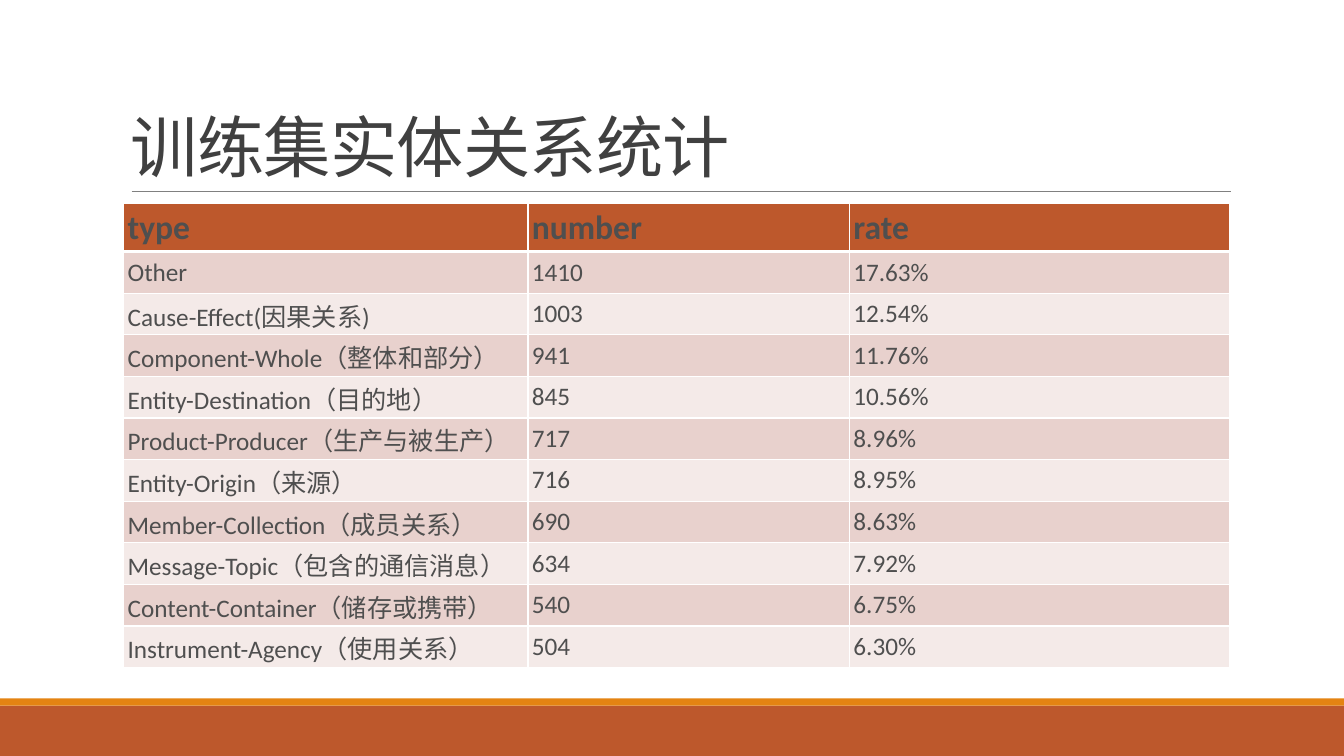
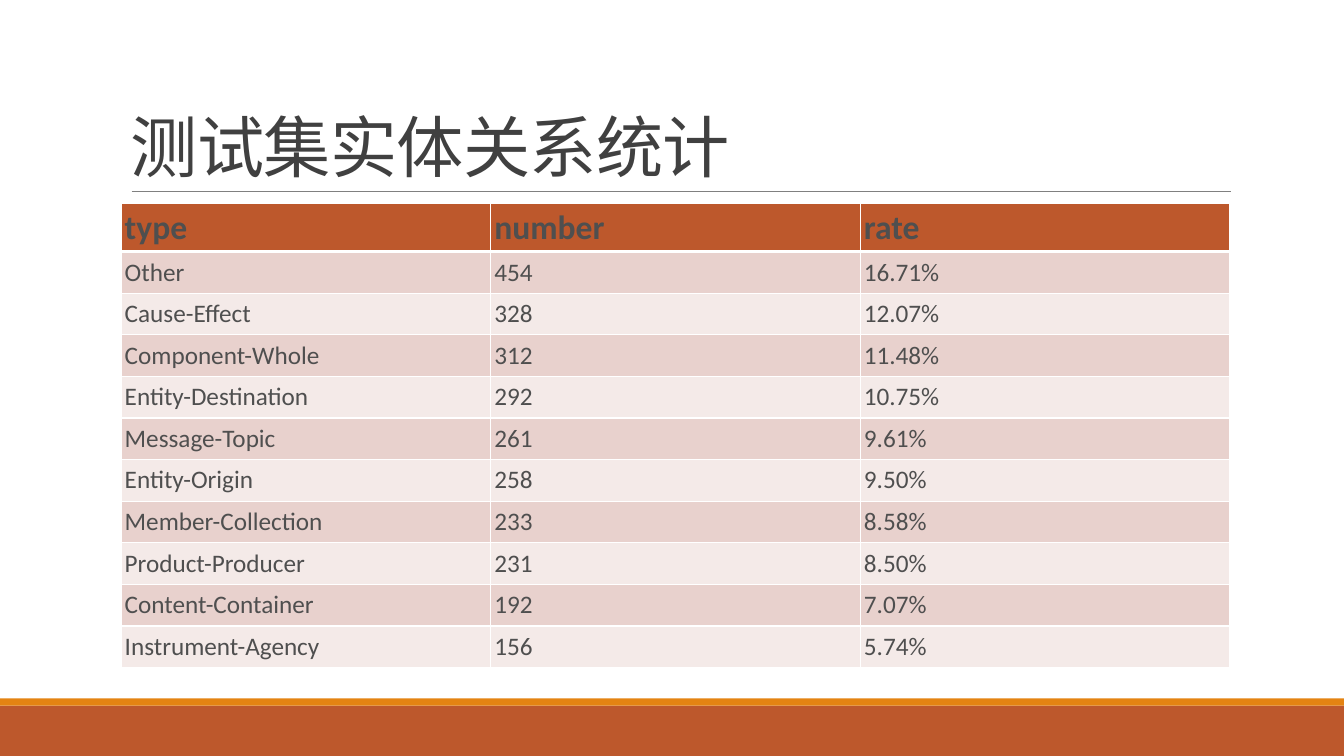
from dataclasses import dataclass

from lxml.etree import SubElement
from pptx import Presentation
from pptx.dml.color import RGBColor
from pptx.enum.shapes import MSO_CONNECTOR, MSO_SHAPE
from pptx.enum.text import MSO_ANCHOR
from pptx.oxml.ns import qn
from pptx.util import Pt


@dataclass(frozen=True)
class Theme:
    font: str = "Calibri"
    rust: str = "BD582C"
    amber: str = "E48312"
    rule: str = "808080"
    title: str = "404040"
    text: str = "4F4F4F"
    edge: str = "FFFFFF"
    bands: tuple = ("E8D1CD", "F4EAE8")
    title_size: int = 48
    head_size: int = 24
    body_size: int = 18


THEME = Theme()
WIDTH, HEIGHT = 960, 540
HEAD = ("type", "number", "rate")

TRAIN = [
    ("Other", "1410", "17.63%"),
    ("Cause-Effect(因果关系)", "1003", "12.54%"),
    ("Component-Whole（整体和部分）", "941", "11.76%"),
    ("Entity-Destination（目的地）", "845", "10.56%"),
    ("Product-Producer（生产与被生产）", "717", "8.96%"),
    ("Entity-Origin（来源）", "716", "8.95%"),
    ("Member-Collection（成员关系）", "690", "8.63%"),
    ("Message-Topic（包含的通信消息）", "634", "7.92%"),
    ("Content-Container（储存或携带）", "540", "6.75%"),
    ("Instrument-Agency（使用关系）", "504", "6.30%"),
]

TEST = [
    ("Other", "454", "16.71%"),
    ("Cause-Effect", "328", "12.07%"),
    ("Component-Whole", "312", "11.48%"),
    ("Entity-Destination", "292", "10.75%"),
    ("Message-Topic", "261", "9.61%"),
    ("Entity-Origin", "258", "9.50%"),
    ("Member-Collection", "233", "8.58%"),
    ("Product-Producer", "231", "8.50%"),
    ("Content-Container", "192", "7.07%"),
    ("Instrument-Agency", "156", "5.74%"),
]


def rgb(code):
    return RGBColor.from_string(code)


def set_font(para, size, color, bold=False):
    font = para.font
    font.name = THEME.font
    font.size = Pt(size)
    font.bold = bold
    font.color.rgb = rgb(color)


def add_band(slide, top, height, color):
    band = slide.shapes.add_shape(
        MSO_SHAPE.RECTANGLE, 0, Pt(top), Pt(WIDTH), Pt(height))
    band.shadow.inherit = False
    band.fill.solid()
    band.fill.fore_color.rgb = rgb(color)
    band.line.fill.background()


def add_rule(slide, left, right, top):
    rule = slide.shapes.add_connector(
        MSO_CONNECTOR.STRAIGHT, Pt(left), Pt(top), Pt(right), Pt(top))
    rule.line.color.rgb = rgb(THEME.rule)
    rule.line.width = Pt(0.5)
    SubElement(rule._element.spPr, qn("a:effectLst"))


def add_title(slide, text):
    box = slide.shapes.add_textbox(Pt(86.4), Pt(22.6), Pt(792), Pt(114.2))
    frame = box.text_frame
    frame.word_wrap = True
    frame.vertical_anchor = MSO_ANCHOR.BOTTOM
    para = frame.paragraphs[0]
    para.line_spacing = 0.85
    run = para.add_run()
    run.text = text
    run._r.get_or_add_rPr().set("spc", "-50")
    set_font(para, THEME.title_size, THEME.title)


def set_edges(cell, top, bottom):
    """Draw the four cell borders; top and bottom are widths in points."""
    props = cell._tc.get_or_add_tcPr()
    for side, width in (("L", 1), ("R", 1), ("T", top), ("B", bottom)):
        line = SubElement(props, qn(f"a:ln{side}"), w=str(int(Pt(width))))
        fill = SubElement(line, qn("a:solidFill"))
        SubElement(fill, qn("a:srgbClr"), val=THEME.edge)


def fill_cell(cell, text, row):
    head = row == 0
    set_edges(cell, 3 if row == 1 else 1, 3 if head else 1)
    cell.fill.solid()
    cell.fill.fore_color.rgb = rgb(
        THEME.rust if head else THEME.bands[(row - 1) % 2])
    cell.vertical_anchor = MSO_ANCHOR.MIDDLE
    cell.margin_left = cell.margin_right = Pt(2.7)
    cell.margin_top = cell.margin_bottom = Pt(2.7)
    cell.text = text
    size = THEME.head_size if head else THEME.body_size
    set_font(cell.text_frame.paragraphs[0], size, THEME.text, head)


def add_stats(slide, left, widths, data):
    rows = [HEAD, *data]
    table = slide.shapes.add_table(
        len(rows), len(widths), Pt(left), Pt(145.5),
        Pt(sum(widths)), Pt(327)).table
    for col, width in zip(table.columns, widths):
        col.width = Pt(width)
    for i, row in enumerate(rows):
        for j, text in enumerate(row):
            fill_cell(table.cell(i, j), text, i)


def add_page(deck, title, left, widths, data):
    slide = deck.slides.add_slide(deck.slide_layouts[6])
    add_band(slide, 504, 36, THEME.rust)
    add_band(slide, 498.8, 5.2, THEME.amber)
    add_rule(slide, 94, 879, 136.8)
    add_title(slide, title)
    add_stats(slide, left, widths, data)


def main():
    deck = Presentation()
    deck.slide_width, deck.slide_height = Pt(WIDTH), Pt(HEIGHT)
    add_page(deck, "训练集实体关系统计", 88.5, (288.7, 229.7, 271.4), TRAIN)
    add_page(deck, "测试集实体关系统计", 86.4, (264, 264, 264), TEST)
    deck.save("out.pptx")


if __name__ == "__main__":
    main()
